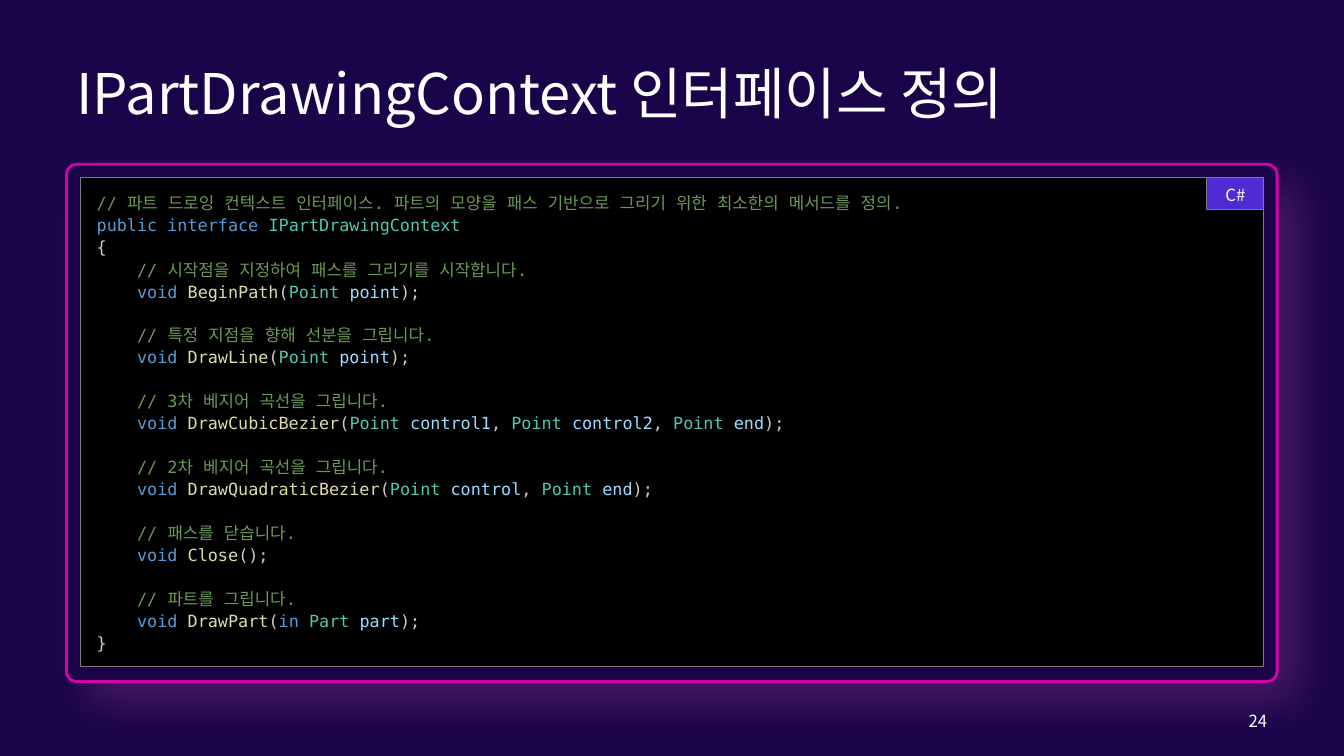
from lxml import etree
from pptx import Presentation
from pptx.dml.color import RGBColor
from pptx.enum.shapes import MSO_SHAPE as Shape
from pptx.enum.text import MSO_ANCHOR as Anchor, PP_ALIGN as Align
from pptx.oxml import parse_xml
from pptx.oxml.ns import qn
from pptx.util import Pt

# Content
TITLE = "IPartDrawingContext 인터페이스 정의"
LANGUAGE = "C#"
PAGE_NUMBER = "24"
HEADER = [
    [("comment", "// 파트 드로잉 컨텍스트 인터페이스. 파트의 모양을 패스 기반으로 그리기 위한 최소한의 메서드를 정의.")],
    [("keyword", "public interface "), ("type", "IPartDrawingContext")],
    [("plain", "{")],
]
METHODS = [  # comment, name, parameters as (modifier, type, name)
    ("시작점을 지정하여 패스를 그리기를 시작합니다.", "BeginPath", [("", "Point", "point")]),
    ("특정 지점을 향해 선분을 그립니다.", "DrawLine", [("", "Point", "point")]),
    ("3차 베지어 곡선을 그립니다.", "DrawCubicBezier",
     [("", "Point", "control1"), ("", "Point", "control2"), ("", "Point", "end")]),
    ("2차 베지어 곡선을 그립니다.", "DrawQuadraticBezier",
     [("", "Point", "control"), ("", "Point", "end")]),
    ("패스를 닫습니다.", "Close", []),
    ("파트를 그립니다.", "DrawPart", [("in ", "Part", "part")]),
]
FOOTER = [("plain", "}")]

# Format
SANS, MONO = "Noto Sans CJK KR", "DejaVu Sans Mono"
WHITE, NAVY, VIOLET, MAGENTA, GREY = "FFFFFF", "190449", "4F2BD3", "D800A6", "7D7D7D"
SYNTAX = {"comment": "6A9955", "keyword": "569CD6", "type": "4EC9B0",
          "method": "DCDCAA", "name": "9CDCFE", "plain": "CCCCCC"}
INDENT = "    "
LINE_SPACING = 1.1
METHOD_GAP = 15.4

# Layout in points: left, top, width, height
FRAME = (47.5, 117.4, 864.7, 369.4)
TITLE_BOX = (FRAME[0], 28.8, FRAME[2], 74.2)
PANEL = (57.6, 126.7, 845.3, 349.2)
TAG_WIDTH, TAG_HEIGHT = 41, 23
TAG = (PANEL[0] + PANEL[2] - TAG_WIDTH, PANEL[1], TAG_WIDTH, TAG_HEIGHT)
NUMBER_WIDTH = 112.3
NUMBER_BOX = (FRAME[0] + FRAME[2] - NUMBER_WIDTH, 500.4, NUMBER_WIDTH, 28.8)


def color(value):
    return RGBColor.from_string(value)


def set_all(target, values):
    for name, value in values.items():
        setattr(target, name, value)


def add_box(slide, kind, box, fill, line, width):
    shape = slide.shapes.add_shape(kind, *map(Pt, box))
    shape.shadow.inherit = False
    shape.fill.solid()
    shape.fill.fore_color.rgb = color(fill)
    shape.line.color.rgb = color(line)
    shape.line.width = Pt(width)
    return shape


def set_frame(shape, horizontal, vertical):
    set_all(shape.text_frame, {
        "word_wrap": True, "vertical_anchor": Anchor.MIDDLE,
        "margin_left": Pt(horizontal), "margin_right": Pt(horizontal),
        "margin_top": Pt(vertical), "margin_bottom": Pt(vertical)})
    return shape.text_frame


def add_run(paragraph, text, font, size, text_color):
    run = paragraph.add_run()
    run.text = text
    set_all(run.font, {"name": font, "size": Pt(size)})
    run.font.color.rgb = color(text_color)
    east_asian = etree.SubElement(run.font._element, qn("a:ea"))
    east_asian.set("typeface", font)


def add_label(shape, text, size, align, margins):
    paragraph = set_frame(shape, *margins).paragraphs[0]
    paragraph.alignment = align
    add_run(paragraph, text, SANS, size, WHITE)


def method_lines(comment, name, parameters):
    call = [("plain", INDENT), ("keyword", "void "), ("method", name)]
    if not parameters:
        call.append(("plain", "();"))
    for index, (modifier, kind, parameter) in enumerate(parameters):
        call.append(("plain", ", " if index else "("))
        if modifier:
            call.append(("keyword", modifier))
        call += [("type", kind + " "), ("name", parameter)]
    if parameters:
        call.append(("plain", ");"))
    return [[("comment", INDENT + "// " + comment)], call]


def add_glow_shadow(shape):
    effects = shape._element.spPr.find(qn("a:effectLst"))
    effects.append(parse_xml(
        '<a:outerShdw xmlns:a="http://schemas.openxmlformats.org/drawingml/2006/main"'
        f' blurRad="{Pt(32)}" dist="{Pt(21)}" dir="{45 * 60000}" algn="tl" rotWithShape="0">'
        '<a:srgbClr val="E566CC"><a:alpha val="22000"/></a:srgbClr></a:outerShdw>'))


def add_code(shape):
    frame = set_frame(shape, 11.5, 8.6)
    lines = [(line, 0) for line in HEADER]
    for index, method in enumerate(METHODS):
        comment, call = method_lines(*method)
        lines += [(comment, METHOD_GAP if index else 0), (call, 0)]
    lines.append((FOOTER, 0))
    for index, (line, gap) in enumerate(lines):
        paragraph = frame.add_paragraph() if index else frame.paragraphs[0]
        set_all(paragraph, {"alignment": Align.LEFT, "line_spacing": LINE_SPACING,
                            "space_before": Pt(gap)})
        for kind, text in line:
            add_run(paragraph, text, MONO, 12, SYNTAX[kind])


def main():
    presentation = Presentation()
    set_all(presentation, {"slide_width": Pt(960), "slide_height": Pt(540)})
    slide = presentation.slides.add_slide(presentation.slide_layouts[6])
    slide.background.fill.solid()
    slide.background.fill.fore_color.rgb = color(NAVY)

    # Glowing frame
    frame = add_box(slide, Shape.ROUNDED_RECTANGLE, FRAME, NAVY, MAGENTA, 2)
    frame.adjustments[0] = 0.02
    add_glow_shadow(frame)

    # Title and page number
    for box, text, size, align in ((TITLE_BOX, TITLE, 40, Align.LEFT),
                                   (NUMBER_BOX, PAGE_NUMBER, 12, Align.RIGHT)):
        add_label(slide.shapes.add_textbox(*map(Pt, box)), text, size, align, (7.2, 3.6))

    # Code panel with language tag
    add_code(add_box(slide, Shape.RECTANGLE, PANEL, "000000", GREY, 0.75))
    tag = add_box(slide, Shape.RECTANGLE, TAG, VIOLET, GREY, 0.75)
    add_label(tag, LANGUAGE, 12, Align.CENTER, (0, 0))
    tag.text_frame.paragraphs[0].line_spacing = LINE_SPACING

    presentation.save("out.pptx")


if __name__ == "__main__":
    main()
